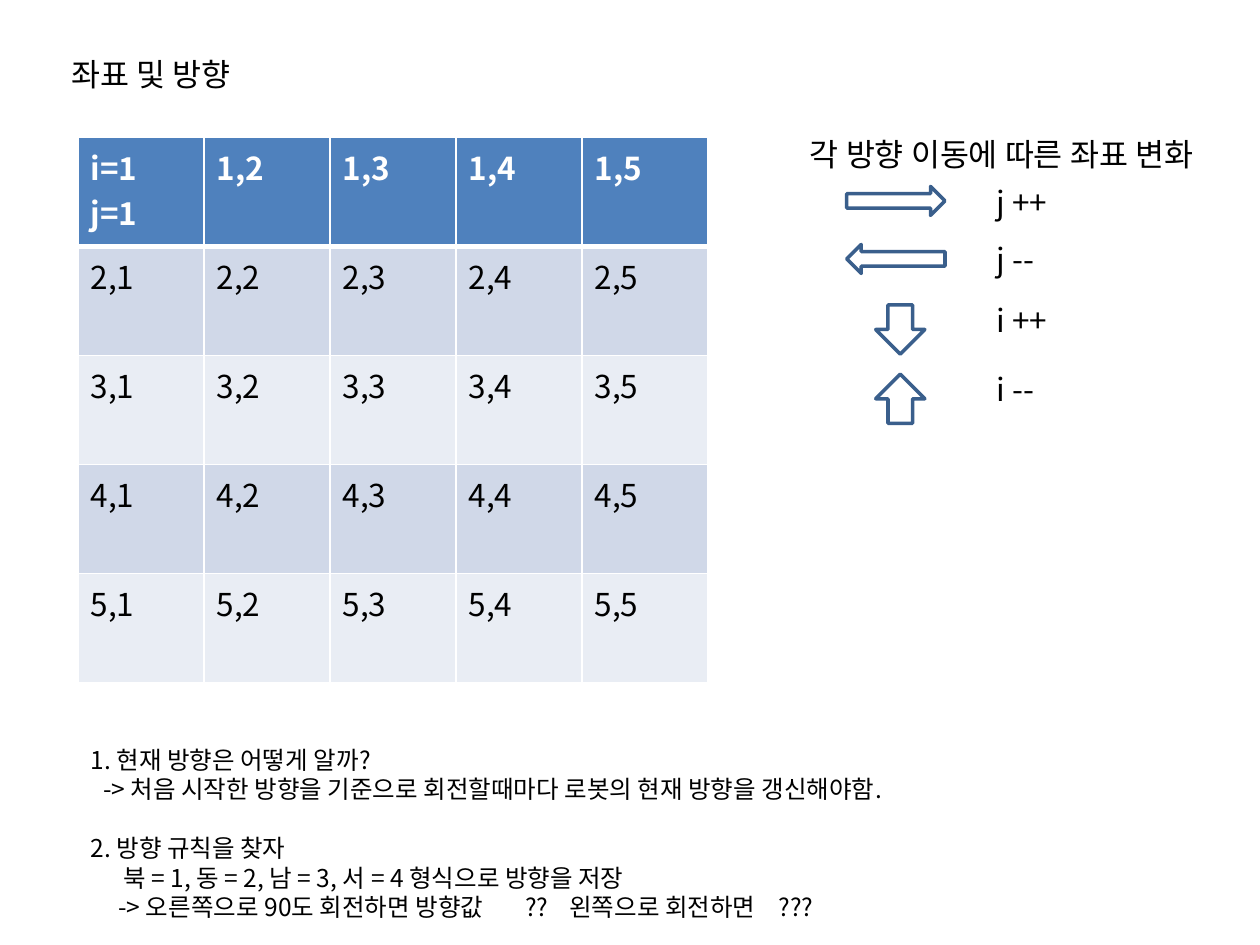
from dataclasses import dataclass

from lxml.etree import SubElement as Sub
from pptx import Presentation as Deck
from pptx.dml.color import RGBColor as Rgb
from pptx.enum.shapes import MSO_SHAPE as Kind
from pptx.oxml import parse_xml as to_xml
from pptx.oxml.ns import nsdecls, qn
from pptx.util import Inches, Pt


@dataclass(frozen=True)
class Theme:
    font: str = "Noto Sans CJK KR"
    body: int = 18
    note: int = 14
    black: str = "000000"
    white: str = "FFFFFF"
    head: str = "4F81BD"
    bands: tuple = ("D0D8E8", "E9EDF4")
    edge: str = "3A5F8C"


@dataclass(frozen=True)
class Label:
    text: str
    left: float
    top: float
    width: float


@dataclass(frozen=True)
class Move:
    kind: Kind
    top: float
    turn: int
    text: str
    width: float


@dataclass(frozen=True)
class Note:
    text: str
    tabs: tuple = ()
    gap: int = 0


LOOK = Theme()
SIZE = 5
SIDES = {"lnL": 1, "lnR": 1, "lnT": 1, "lnB": 1}
SPANS = {
    Kind.RIGHT_ARROW: (6.72, 0.78, 0.23),
    Kind.DOWN_ARROW: (6.95, 0.39, 0.39),
}
LABELS = (
    Label("좌표 및 방향", 0.47, 0.39, 1.64),
    Label("각 방향 이동에 따른 좌표 변화", 6.33, 1.02, 3.68),
)
MOVES = (
    Move(Kind.RIGHT_ARROW, 1.48, 0, "j ++", 0.71),
    Move(Kind.RIGHT_ARROW, 1.94, 180, "j --", 0.56),
    Move(Kind.DOWN_ARROW, 2.42, 0, "i ++", 0.71),
    Move(Kind.DOWN_ARROW, 2.97, 180, "i --", 0.56),
)
NOTES = (
    Note("1. 현재 방향은 어떻게 알까?"),
    Note("\t-> 처음 시작한 방향을 기준으로 회전할때마다 로봇의 현재 방향을 갱신해야함.", (0.1,)),
    Note("2. 방향 규칙을 찾자", gap=17),
    Note("\t북 = 1, 동 = 2, 남 = 3, 서 = 4 형식으로 방향을 저장", (0.26,)),
    Note("\t-> 오른쪽으로 90도 회전하면 방향값\t??\t왼쪽으로 회전하면\t???",
         (0.22, 3.45, 3.8, 5.46)),
)


def add_text(para, text: str, size: int, color: str, bold: bool = False) -> None:
    run = para.add_run()
    run.text = text
    font = run.font
    font.size, font.bold, font.name = Pt(size), bold, LOOK.font
    font.color.rgb = Rgb.from_string(color)
    Sub(run._r.get_or_add_rPr(), qn("a:ea"), typeface=LOOK.font)


def add_label(slide, label: Label) -> None:
    box = slide.shapes.add_textbox(
        Inches(label.left), Inches(label.top), Inches(label.width), Inches(0.4))
    box.text_frame.word_wrap = False
    add_text(box.text_frame.paragraphs[0], label.text, LOOK.body, LOOK.black)


def add_move(slide, move: Move) -> None:
    left, width, height = SPANS[move.kind]
    arrow = slide.shapes.add_shape(
        move.kind, Inches(left), Inches(move.top), Inches(width), Inches(height))
    arrow.rotation = move.turn
    arrow.shadow.inherit = False
    arrow.fill.solid()
    arrow.fill.fore_color.rgb = Rgb.from_string(LOOK.white)
    arrow.line.color.rgb = Rgb.from_string(LOOK.edge)
    arrow.line.width = Pt(2)
    add_label(slide, Label(move.text, 7.81, move.top - 0.08, move.width))


def set_edges(cell, sides: dict) -> None:
    props = cell._tc.get_or_add_tcPr()
    for spot, (side, width) in enumerate(sides.items()):
        props.insert(spot, to_xml(
            f'<a:{side} {nsdecls("a")} w="{Pt(width)}"><a:solidFill>'
            f'<a:srgbClr val="{LOOK.white}"/></a:solidFill></a:{side}>'))


def add_grid(slide) -> None:
    grid = slide.shapes.add_table(
        SIZE, SIZE, Inches(0.62), Inches(1.09), Inches(5), Inches(4.33)).table
    for row in range(SIZE):
        top = row == 0
        fill = LOOK.head if top else LOOK.bands[(row - 1) % 2]
        color = LOOK.white if top else LOOK.black
        sides = {**SIDES, "lnB": 3} if top else SIDES
        for col in range(SIZE):
            cell = grid.cell(row, col)
            cell.fill.solid()
            cell.fill.fore_color.rgb = Rgb.from_string(fill)
            set_edges(cell, sides)
            first = top and col == 0
            lines = ("i=1", "j=1") if first else (f"{row + 1},{col + 1}",)
            frame = cell.text_frame
            for spot, text in enumerate(lines):
                para = frame.add_paragraph() if spot else frame.paragraphs[0]
                add_text(para, text, LOOK.body, color, top)


def add_notes(slide) -> None:
    frame = slide.shapes.add_textbox(
        Inches(0.62), Inches(5.86), Inches(7.3), Inches(1.51)).text_frame
    frame.word_wrap = True
    for spot, note in enumerate(NOTES):
        para = frame.add_paragraph() if spot else frame.paragraphs[0]
        para.space_before = Pt(note.gap)
        if note.tabs:
            stops = Sub(para._p.get_or_add_pPr(), qn("a:tabLst"))
            for stop in note.tabs:
                Sub(stops, qn("a:tab"), pos=str(Inches(stop)), algn="l")
        add_text(para, note.text, LOOK.note, LOOK.black)


def main() -> None:
    deck = Deck()
    deck.slide_width, deck.slide_height = Inches(10), Inches(7.5)
    slide = deck.slides.add_slide(deck.slide_layouts[6])
    add_grid(slide)
    for label in LABELS:
        add_label(slide, label)
    for move in MOVES:
        add_move(slide, move)
    add_notes(slide)
    deck.save("out.pptx")


if __name__ == "__main__":
    main()
